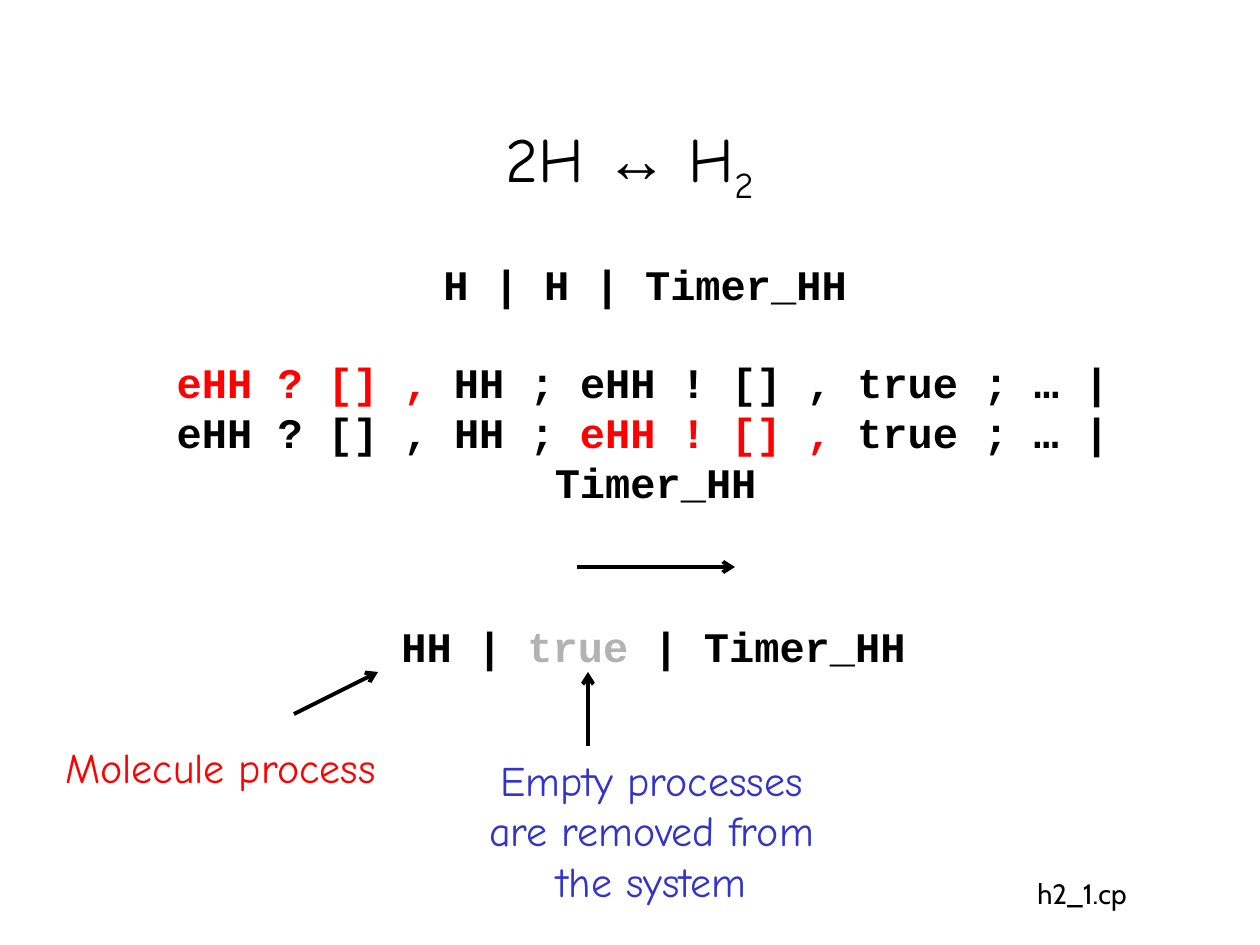
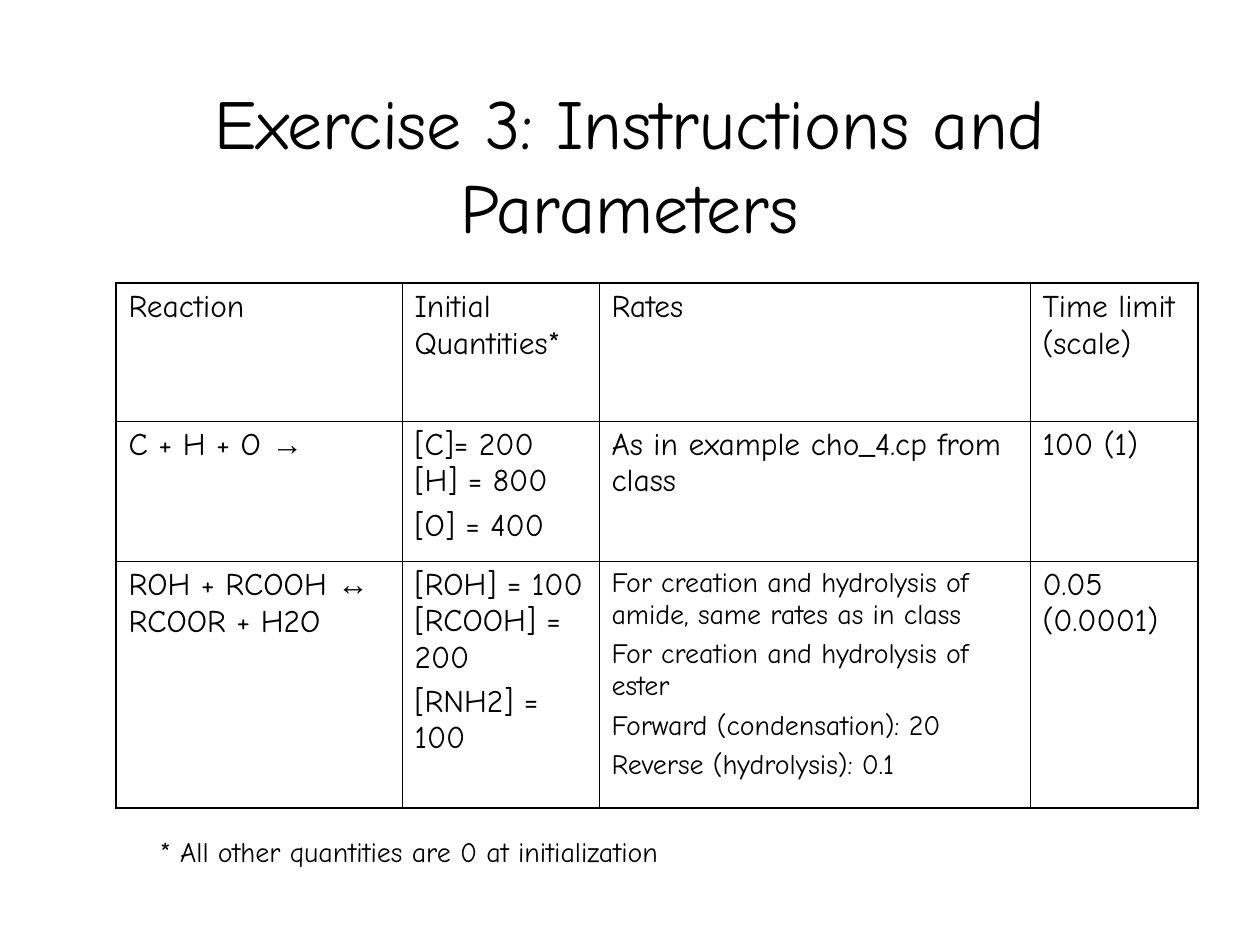
from pptx import Presentation
from pptx.dml.color import RGBColor
from pptx.enum.shapes import MSO_CONNECTOR
from pptx.enum.text import MSO_ANCHOR, PP_ALIGN
from pptx.oxml.ns import qn
from pptx.util import Emu, Pt
from lxml import etree

STRAIGHT = MSO_CONNECTOR.STRAIGHT
MIDDLE, TOP = MSO_ANCHOR.MIDDLE, MSO_ANCHOR.TOP
CENTER, LEFT = PP_ALIGN.CENTER, PP_ALIGN.LEFT

PX_PER_INCH = 126
COLORS = {
    "black": "000000",
    "red": "FF0000",
    "blue": "3333CC",
    "gray": "B2B2B2",
}
TITLE_BOX = (94, 84, 1071, 158)
OUTER_BORDER, INNER_BORDER = 1.08, 0.45

TITLE = {"name": "Comic Neue", "size": Pt(40)}
EQUATION = {**TITLE, "size": Pt(36)}
CODE = {"name": "Courier New", "size": Pt(24), "bold": True}
LABEL = {"name": "Comic Neue", "size": Pt(24)}
FILE_NAME = {"name": "Cabin", "size": Pt(16)}
CELL = {"name": "Comic Neue", "size": Pt(18)}
SMALL = {**CELL, "size": Pt(16)}
ARROW_SIGN = {"name": "Arial"}


def px(value):
    return Emu(round(value * 914400 / PX_PER_INCH))


def color_of(name):
    return RGBColor.from_string(COLORS[name])


def write_span(para, text, style, color="black", baseline=None):
    for index, line in enumerate(text.split("\n")):
        if index:
            para.add_line_break()
        if not line:
            continue
        span = para.add_run()
        span.text = line
        for name, value in style.items():
            setattr(span.font, name, value)
        span.font.color.rgb = color_of(color)
        if baseline:
            span.font._element.set("baseline", str(baseline))


def write_paragraphs(frame, paragraphs, style, align=LEFT, gap=0):
    for index, spans in enumerate(paragraphs):
        para = frame.add_paragraph() if index else frame.paragraphs[0]
        para.alignment = align
        if index and gap:
            para.space_before = Pt(gap)
        for text, changes, *extra in spans:
            write_span(para, text, {**style, **changes}, *extra)


def add_text(page, box, spans, style, wrap=False, anchor=MIDDLE):
    frame = page.shapes.add_textbox(*map(px, box)).text_frame
    for name, value in {"word_wrap": wrap, "vertical_anchor": anchor}.items():
        setattr(frame, name, value)
    write_paragraphs(frame, [spans], style, CENTER)


def add_title(page, spans, style=TITLE):
    add_text(page, TITLE_BOX, spans, style, wrap=True)


def add_arrow(page, start, end):
    arrow = page.shapes.add_connector(STRAIGHT, *map(px, start + end))
    arrow.line.color.rgb = color_of("black")
    arrow.line.width = Pt(2.25)
    line = arrow.line._get_or_add_ln()
    etree.SubElement(line, qn("a:tailEnd"), type="arrow")
    etree.SubElement(arrow._element.spPr, qn("a:effectLst"))


def add_process_steps(page, box):
    left, top, width, height = box
    add_text(page, (left + 224, top, 514, 105),
             [("H | H | Timer_HH", {})], CODE)
    add_text(page, (left, top + 119, width, 164), [
        ("eHH ? [] ,", {}, "red"),
        (" HH ; eHH ! [] , true ; … |\neHH ? [] , HH ; ", {}),
        ("eHH ! [] ,", {}, "red"),
        (" true ; … |\n Timer_HH", {}),
    ], CODE, anchor=TOP)
    add_arrow(page, (left + 413, top + 336), (left + 571, top + 336))
    add_text(page, (left + 225, top + height - 63, 529, 63), [
        ("HH | ", {}), ("true", {}, "gray"), (" | Timer_HH", {}),
    ], CODE, anchor=TOP)


def add_callout(page, box, text, color, start, end):
    left, top, width, height = box
    add_text(page, box, [(text, {}, color)], LABEL, wrap=True)
    add_arrow(page, (left + start[0], top + start[1]),
              (left + end[0], top + end[1]))


def set_borders(cell, row, column, last_row, last_column):
    edges = {
        "a:lnL": column == 0,
        "a:lnR": column == last_column,
        "a:lnT": row == 0,
        "a:lnB": row == last_row,
    }
    properties = cell._tc.get_or_add_tcPr()
    for tag, is_outer in edges.items():
        width = Pt(OUTER_BORDER if is_outer else INNER_BORDER)
        line = etree.SubElement(properties, qn(tag), w=str(int(width)))
        fill = etree.SubElement(line, qn("a:solidFill"))
        etree.SubElement(fill, qn("a:srgbClr"), val=COLORS["black"])


def add_parameter_table(page, box, columns, heights, rows):
    shape = page.shapes.add_table(len(rows), len(columns), *map(px, box))
    table = shape.table
    for name in ("first_row", "horz_banding"):
        setattr(table, name, False)
    for column, width in zip(table.columns, columns):
        column.width = px(width)
    for row, height in zip(table.rows, heights):
        row.height = px(height)
    for row, contents in enumerate(rows):
        for column, paragraphs in enumerate(contents):
            cell = table.cell(row, column)
            set_borders(cell, row, column, len(rows) - 1, len(columns) - 1)
            cell.fill.background()
            is_small = len(paragraphs) > 2
            write_paragraphs(cell.text_frame, paragraphs,
                             SMALL if is_small else CELL,
                             gap=4 if is_small else 4.5)


def plain(*texts):
    return [[(text, {})] for text in texts]


def build_reaction_page(page):
    add_title(page, [("2H ", {}), ("↔", ARROW_SIGN), (" H", {}),
                     ("2", {}, "black", -25000)], EQUATION)
    add_process_steps(page, (164, 231, 958, 446))
    add_callout(page, (473, 746, 357, 168),
                "Empty processes are removed from the system", "blue",
                (115, 0), (115, -74))
    add_callout(page, (42, 683, 357, 168), "Molecule process", "red",
                (252, 31), (336, -11))
    add_text(page, (935, 872, 294, 42), [("h2_1.cp", {})], FILE_NAME)


def build_exercise_page(page):
    add_title(page, [("Exercise 3: Instructions and Parameters", {})])
    columns, heights = (286, 197, 431, 168), (138, 140, 247)
    rows = [
        [plain("Reaction"), plain("Initial Quantities*"), plain("Rates"),
         plain("Time limit (scale)")],
        [[[("C + H + O ", {}), ("→", ARROW_SIGN)]],
         plain("[C]= 200\n[H] = 800", "[O] = 400"),
         plain("As in example cho_4.cp from class"),
         plain("100 (1)")],
        [[[("ROH + RCOOH ", {}), ("↔", ARROW_SIGN), (" RCOOR + H2O", {})]],
         plain("[ROH] = 100 [RCOOH] = 200", "[RNH2] = 100"),
         plain("For creation and hydrolysis of amide, same rates as in class",
               "For creation and hydrolysis of ester",
               "Forward (condensation): 20",
               "Reverse (hydrolysis): 0.1"),
         plain("0.05 (0.0001)")],
    ]
    add_parameter_table(page, (116, 283, sum(columns), sum(heights)),
                        columns, heights, rows)
    add_text(page, (136, 809, 546, 84),
             [("* All other quantities are 0 at initialization", {})], SMALL)


def main():
    deck = Presentation()
    deck.slide_width, deck.slide_height = px(1260), px(945)
    blank = deck.slide_layouts[6]
    for build in (build_reaction_page, build_exercise_page):
        build(deck.slides.add_slide(blank))
    deck.save("out.pptx")


if __name__ == "__main__":
    main()
